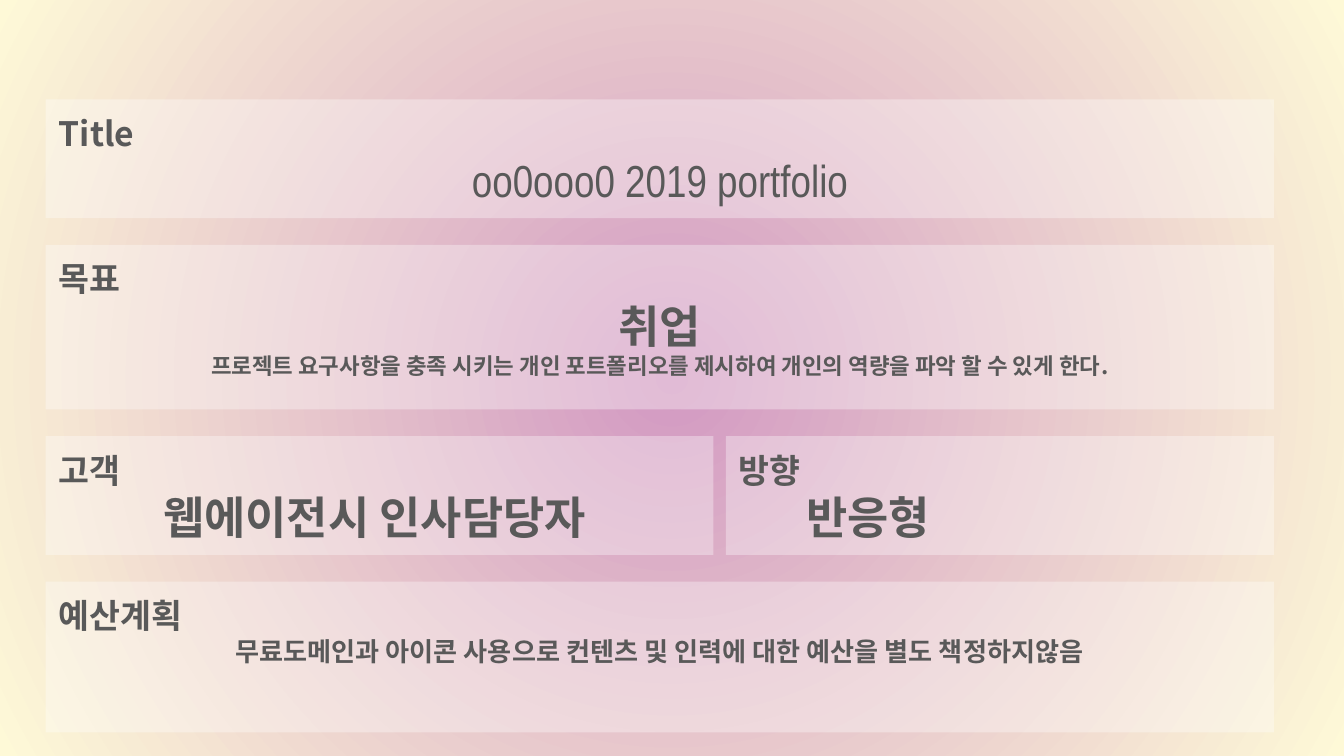
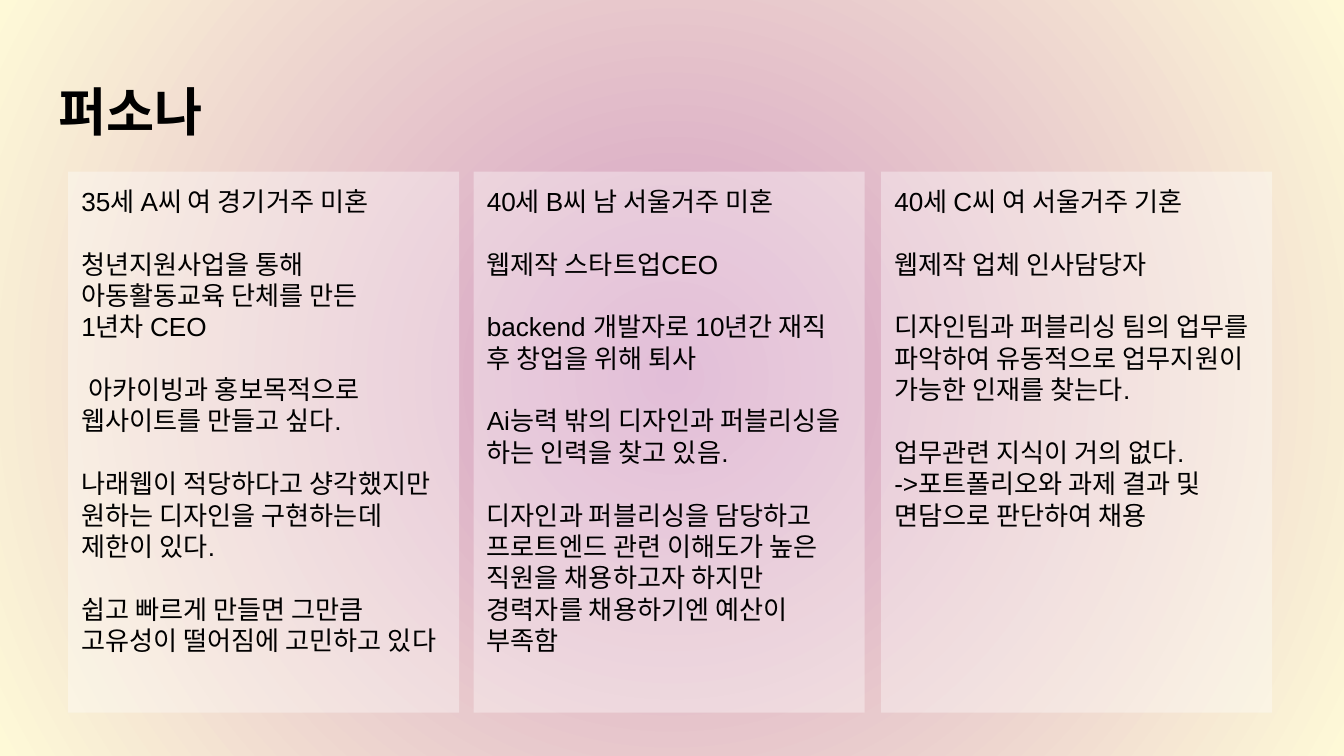
import pptx
import pptx.dml.color
import pptx.enum.shapes
import pptx.enum.text
import pptx.oxml
import pptx.util
from pptx.oxml.ns import nsdecls, qn
from lxml import etree

Pt = pptx.util.Pt
CENTER = pptx.enum.text.PP_ALIGN.CENTER

COLORS = {"glow": "D299C2", "edge": "FEF9D7", "panel": "FFFFFF",
          "heading": "595959", "ink": "000000"}
KOREAN, NARROW, PLAIN = "Noto Sans CJK KR", "Arial Narrow", "Arial"
INSET = 7.2

# Rows of the brief: height, then panels of (width, heading, body lines).
# A body line is (text, size, extra settings).
BRIEF_ROWS = [
    (63.6, [(658, "Title", [
        ("oo0ooo0 2019 portfolio", 24,
         {"align": CENTER, "font": NARROW, "bold": False})])]),
    (88.2, [(658, "목표", [
        ("취업", 24, {"align": CENTER}),
        ("프로젝트 요구사항을 충족 시키는 개인 포트폴리오를 제시하여 "
         "개인의 역량을 파악 할 수 있게 한다.", 12, {"align": CENTER})])]),
    (63.6, [(357.8, "고객", [("웹에이전시 인사담당자 ", 24, {"align": CENTER})]),
            (293.7, "방향", [("반응형", 24, {"indent": 36})])]),
    (80.8, [(658, "예산계획", [
        ("무료도메인과 아이콘 사용으로 컨텐츠 및 인력에 대한 예산을 별도 책정하지않음",
         14, {"align": CENTER})])]),
]
BRIEF_LEFT, BRIEF_TOP, ROW_GAP, COLUMN_GAP = 24.5, 53.3, 14.3, 6.5

PERSONA_TITLE = "퍼소나"
# Left edge of each card, then its blocks; a block is a list of (text, indent).
PERSONAS = [
    (36.5, [
        [("35세 A씨 여 경기거주 미혼", 0)],
        [("청년지원사업을 통해 아동활동교육 단체를 만든", 0), ("1년차 CEO", 0)],
        [("아카이빙과 홍보목적으로 웹사이트를 만들고 싶다.", 3.9)],
        [("나래웹이 적당하다고 샹각했지만 원하는 디자인을 구현하는데 제한이 있다.", 0)],
        [("쉽고 빠르게 만들면 그만큼 고유성이 떨어짐에 고민하고 있다", 0)],
    ]),
    (253.7, [
        [("40세 B씨 남 서울거주 미혼", 0)],
        [("웹제작 스타트업CEO", 0)],
        [("backend 개발자로 10년간 재직 후 창업을 위해 퇴사", 0)],
        [("Ai능력 밖의 디자인과 퍼블리싱을 하는 인력을 찾고 있음.", 0)],
        [("디자인과 퍼블리싱을 담당하고 프로트엔드 관련 이해도가 높은 직원을 "
          "채용하고자 하지만 경력자를 채용하기엔 예산이 부족함", 0)],
    ]),
    (472, [
        [("40세 C씨 여 서울거주 기혼", 0)],
        [("웹제작 업체 인사담당자", 0)],
        [("디자인팀과 퍼블리싱 팀의 업무를 파악하여 유동적으로 업무지원이 "
          "가능한 인재를 찾는다.", 0)],
        [("업무관련 지식이 거의 없다.", 0),
         ("->포트폴리오와 과제 결과 및 면담으로 판단하여 채용", 0)],
    ]),
]
CARD_TOP, CARD_WIDTH, CARD_HEIGHT, BLOCK_GAP = 92, 209.5, 289.8, 16.8


def rgb(name):
    return pptx.dml.color.RGBColor.from_string(COLORS[name])


def add_slide(deck):
    """Blank slide with the shared radial glow behind it."""
    slide = deck.slides.add_slide(deck.slide_layouts[6])
    slide.background.fill.solid()
    stops = "".join(
        f'<a:gs pos="{pos}"><a:srgbClr val="{COLORS[name]}">'
        '<a:alpha val="61000"/></a:srgbClr></a:gs>'
        for pos, name in ((0, "glow"), (100000, "edge")))
    gradient = pptx.oxml.parse_xml(
        f'<a:gradFill {nsdecls("a")} rotWithShape="1"><a:gsLst>{stops}</a:gsLst>'
        '<a:path path="circle"><a:fillToRect l="50000" t="50000" r="50000" '
        'b="50000"/></a:path></a:gradFill>')
    solid = next(slide.element.iter(qn("a:solidFill")))
    solid.getparent().replace(solid, gradient)
    return slide


def set_frame(shape):
    frame = shape.text_frame
    frame.word_wrap = True
    frame.vertical_anchor = pptx.enum.text.MSO_ANCHOR.TOP
    frame.margin_left = frame.margin_right = Pt(INSET)
    frame.margin_top = frame.margin_bottom = Pt(INSET)
    return frame


def add_panel(slide, left, top, width, height, opacity):
    """Translucent white panel; returns its text frame."""
    panel = slide.shapes.add_shape(
        pptx.enum.shapes.MSO_SHAPE.RECTANGLE,
        Pt(left), Pt(top), Pt(width), Pt(height))
    panel.shadow.inherit = False
    panel.line.fill.background()
    panel.fill.solid()
    panel.fill.fore_color.rgb = rgb("panel")
    tint = next(panel.element.spPr.iter(qn("a:srgbClr")))
    etree.SubElement(tint, qn("a:alpha"), val=str(opacity * 1000))
    return set_frame(panel)


def write(frame, text, size, color, font=KOREAN, bold=True,
          align=pptx.enum.text.PP_ALIGN.LEFT, indent=0, before=0):
    """Fill the first empty paragraph of the frame, or append one."""
    paragraph = frame.paragraphs[0] if not frame.text else frame.add_paragraph()
    paragraph.text = text
    paragraph.alignment = align
    if before:
        paragraph.space_before = Pt(before)
    if indent:
        paragraph._p.get_or_add_pPr().set("indent", str(Pt(indent)))
    paragraph.font.name = font
    paragraph.font.size = Pt(size)
    paragraph.font.bold = bold
    paragraph.font.color.rgb = rgb(color)


def build_brief(deck):
    slide = add_slide(deck)
    top = BRIEF_TOP
    for height, panels in BRIEF_ROWS:
        left = BRIEF_LEFT
        for width, heading, body in panels:
            frame = add_panel(slide, left, top, width, height, 34)
            write(frame, heading, 18, "heading")
            for text, size, settings in body:
                write(frame, text, size, "heading", **settings)
            left += width + COLUMN_GAP
        top += height + ROW_GAP


def build_personas(deck):
    slide = add_slide(deck)
    title = slide.shapes.add_textbox(Pt(24.5), Pt(35), Pt(671), Pt(45))
    write(set_frame(title), PERSONA_TITLE, 28, "ink")
    for left, blocks in PERSONAS:
        frame = add_panel(slide, left, CARD_TOP, CARD_WIDTH, CARD_HEIGHT, 37)
        for block_index, block in enumerate(blocks):
            for line_index, (text, indent) in enumerate(block):
                starts_block = block_index > 0 and line_index == 0
                write(frame, text, 14, "ink", PLAIN, False, indent=indent,
                      before=BLOCK_GAP if starts_block else 0)


def main():
    deck = pptx.Presentation()
    deck.slide_width, deck.slide_height = Pt(720), Pt(405)
    build_brief(deck)
    build_personas(deck)
    deck.save("out.pptx")


if __name__ == "__main__":
    main()
